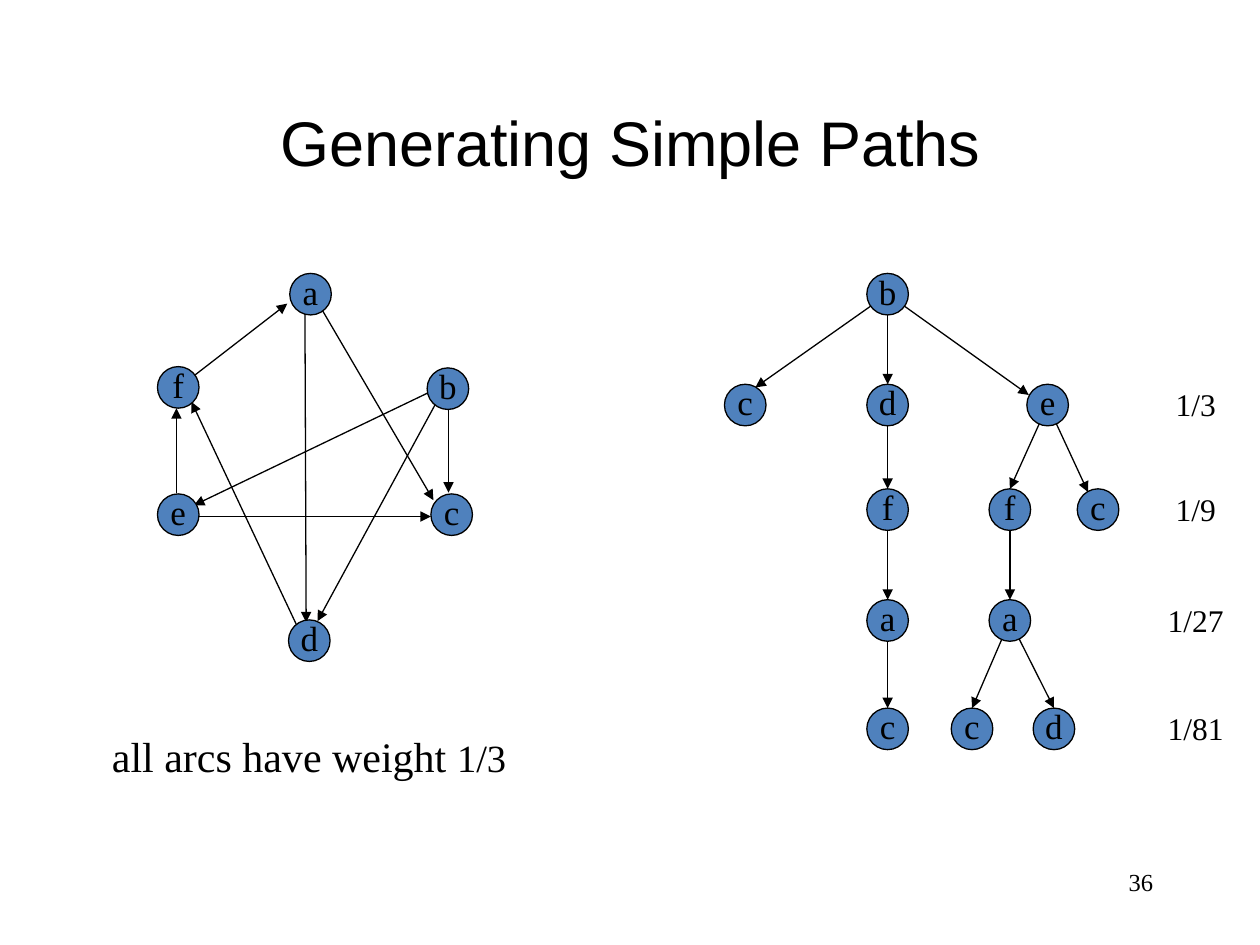
from dataclasses import dataclass
from lxml.etree import SubElement
from pptx import Presentation
from pptx.dml.color import RGBColor
from pptx.enum.shapes import MSO_CONNECTOR, MSO_SHAPE
from pptx.enum.text import MSO_ANCHOR, PP_ALIGN
from pptx.oxml.ns import qn
from pptx.util import Inches, Pt


@dataclass(frozen=True)
class Theme:
    ink: RGBColor = RGBColor(0, 0, 0)
    node: RGBColor = RGBColor(0x4F, 0x81, 0xBD)
    heading: str = "Arial"
    body: str = "Times New Roman"
    title: int = 36
    note: int = 24
    fraction: int = 22
    letter: int = 20
    weight: int = 18
    number: int = 14
    line: float = 0.75


T = Theme()
SIZE = (10, 7.5)
DIAMETER = 0.33
RADIUS = DIAMETER / 2

GRAPH_NODES = {
    "a": (2.3, 2.17), "b": (3.39, 2.92), "c": (3.42, 3.92),
    "d": (2.29, 4.92), "e": (1.25, 3.92), "f": (1.25, 2.91),
}
GRAPH_ARCS = [
    ((1.4, 3.91), (1.4, 3.24)),
    ((3.52, 3.09), (2.52, 4.93)),
    ((3.56, 3.01), (3.56, 3.91)),
    ((2.51, 2.38), (3.44, 3.97)),
    ((1.53, 2.99), (2.28, 2.41)),
    ((2.42, 5.1), (1.52, 3.19)),
    ((1.58, 4.1), (3.42, 4.1)),
    ((2.42, 2.35), (2.43, 4.94)),
    ((3.56, 3.04), (1.54, 4.01)),
]

LEVELS = [2.17, 3.05, 3.88, 4.76, 5.62]
WEIGHTS = ["1/3", "1/9", "1/27", "1/81"]
TOP = (0, -RADIUS)
TOP_LEFT = (-0.08, -0.14)
TOP_RIGHT = (0.08, -0.14)
LEFT = (-0.15, -0.08)
TREE_COLUMNS_AND_ARRIVALS = {
    "b": (6.88, None),
    "bc": (5.75, TOP_RIGHT),
    "bd": (6.88, TOP),
    "be": (8.15, LEFT),
    "bdf": (6.88, TOP),
    "bef": (7.85, TOP),
    "bec": (8.55, TOP_LEFT),
    "bdfa": (6.88, TOP),
    "befa": (7.85, TOP),
    "bdfac": (6.88, TOP),
    "befac": (7.55, TOP),
    "befad": (8.2, TOP),
}


def add_text(s, box, runs, font=T.body, align=PP_ALIGN.LEFT,
             anchor=MSO_ANCHOR.TOP, wrap=True):
    tf = s.shapes.add_textbox(*map(Inches, box)).text_frame
    tf.word_wrap = wrap
    tf.vertical_anchor = anchor
    p = tf.paragraphs[0]
    p.alignment = align
    p.font.name = font
    p.font.color.rgb = T.ink
    for text, size in runs:
        r = p.add_run()
        r.text = text
        r.font.size = Pt(size)


def add_node(s, letter, left, top):
    sp = s.shapes.add_shape(MSO_SHAPE.OVAL, *map(Inches, (left, top, DIAMETER, DIAMETER)))
    sp.shadow.inherit = False
    sp.fill.solid()
    sp.fill.fore_color.rgb = T.node
    sp.line.color.rgb = T.ink
    sp.line.width = Pt(T.line)
    tf = sp.text_frame
    tf.word_wrap = False
    tf.vertical_anchor = MSO_ANCHOR.MIDDLE
    tf.margin_left = tf.margin_right = tf.margin_top = 0
    tf.margin_bottom = Inches(0.05)
    p = tf.paragraphs[0]
    p.text = letter
    p.alignment = PP_ALIGN.CENTER
    p.font.name = T.body
    p.font.size = Pt(T.letter)
    p.font.color.rgb = T.ink


def add_arrow(s, start, end):
    arrow = s.shapes.add_connector(MSO_CONNECTOR.STRAIGHT, *map(Inches, (*start, *end)))
    arrow.line.color.rgb = T.ink
    arrow.line.width = Pt(T.line)
    SubElement(arrow.get_or_add_ln(), qn("a:tailEnd"), type="triangle")
    SubElement(arrow.element.spPr, qn("a:effectLst"))


def add_graph(s):
    for start, end in GRAPH_ARCS:
        add_arrow(s, start, end)
    for letter, (left, top) in GRAPH_NODES.items():
        add_node(s, letter, left, top)


def add_tree(s):
    corners = {walk: (x, LEVELS[len(walk) - 1])
               for walk, (x, _) in TREE_COLUMNS_AND_ARRIVALS.items()}
    centers = {walk: (x + RADIUS, y + RADIUS) for walk, (x, y) in corners.items()}
    for walk, (_, arrival) in TREE_COLUMNS_AND_ARRIVALS.items():
        if arrival:
            end = [c + d for c, d in zip(centers[walk], arrival)]
            add_arrow(s, centers[walk[:-1]], end)
    for walk, corner in corners.items():
        add_node(s, walk[-1], *corner)
    for weight, top in zip(WEIGHTS, LEVELS[1:]):
        add_text(s, (9.12, top - 0.04, 0.74, 0.4), [(weight, T.weight)],
                 align=PP_ALIGN.CENTER, wrap=False)


def main():
    prs = Presentation()
    prs.slide_width, prs.slide_height = map(Inches, SIZE)
    s = prs.slides.add_slide(prs.slide_layouts[6])
    add_text(s, (0.67, 0.5, 8.67, 1.25), [("Generating Simple Paths", T.title)],
             T.heading, PP_ALIGN.CENTER, MSO_ANCHOR.MIDDLE)
    add_graph(s)
    add_tree(s)
    add_text(s, (0.79, 5.75, 3.33, 0.5),
             [("all arcs have weight ", T.note), ("1/3", T.fraction)], wrap=False)
    add_text(s, (7.17, 6.83, 2.08, 0.5), [("36", T.number)], align=PP_ALIGN.RIGHT)
    prs.save("out.pptx")


if __name__ == "__main__":
    main()
